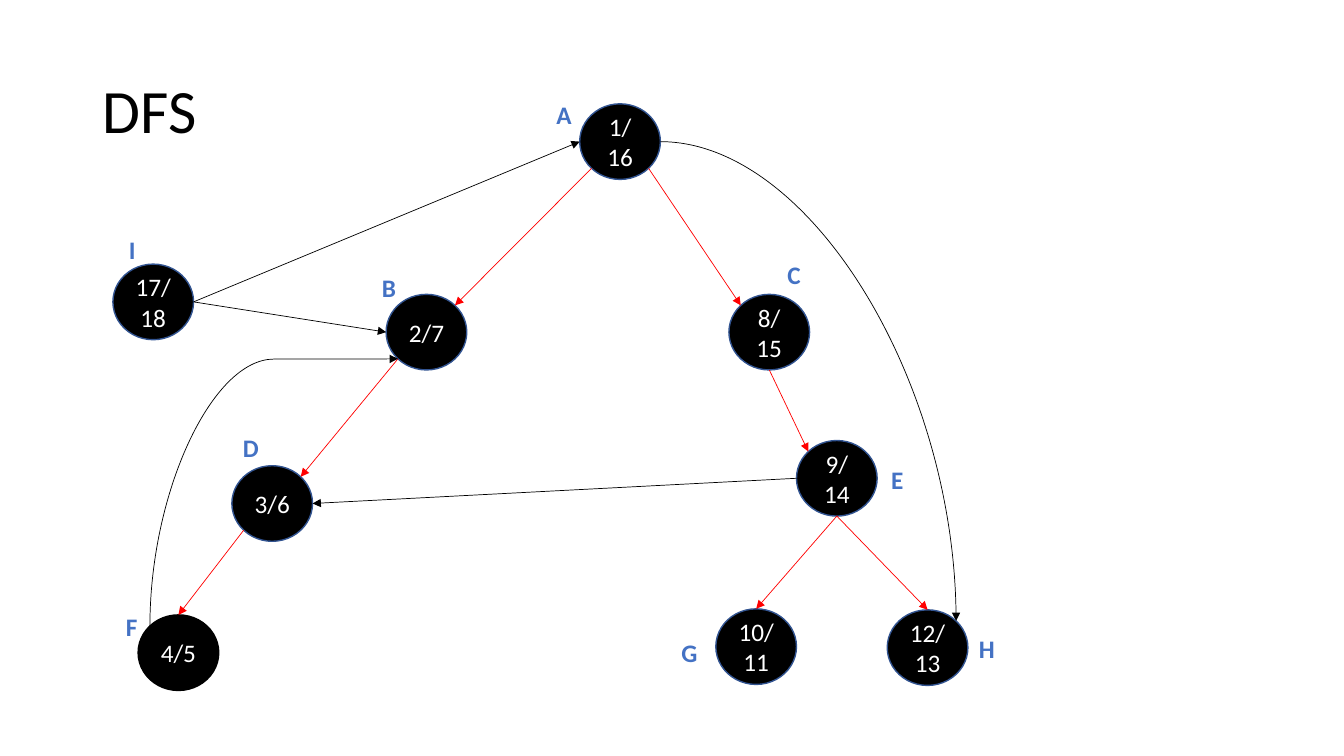
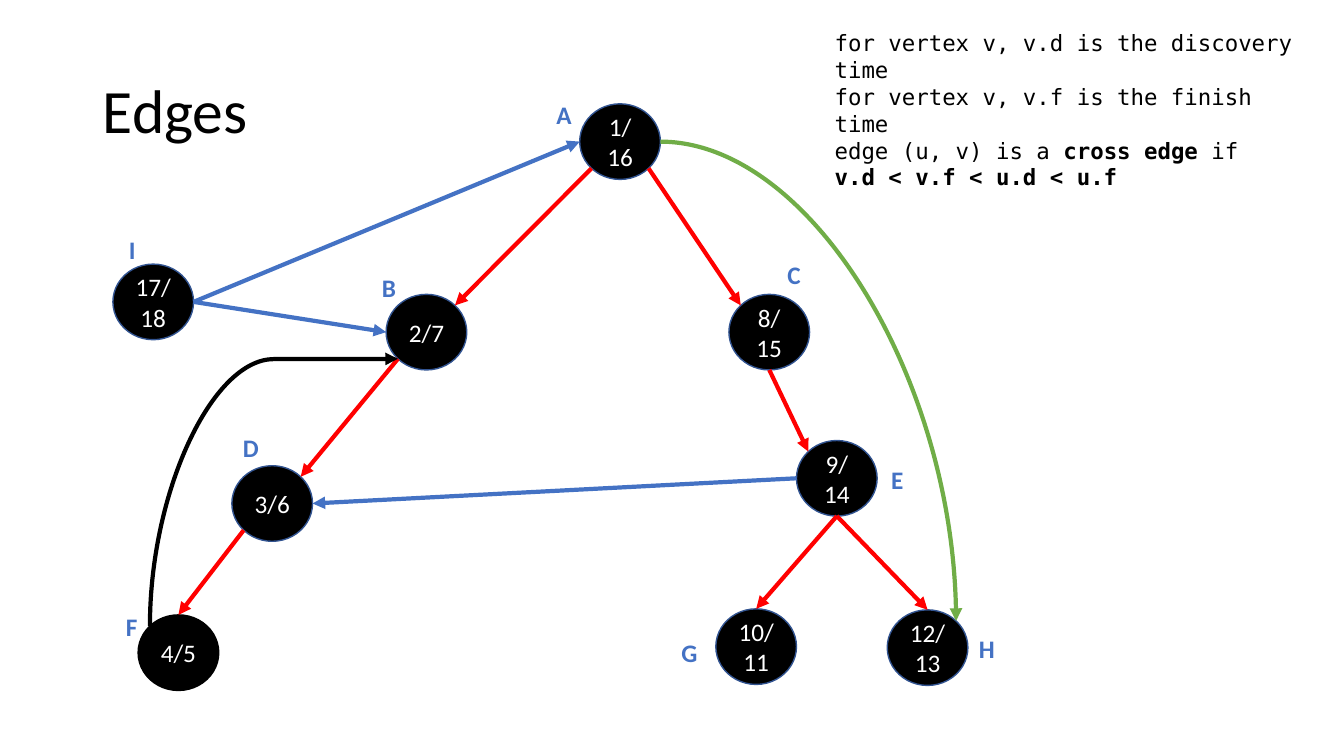
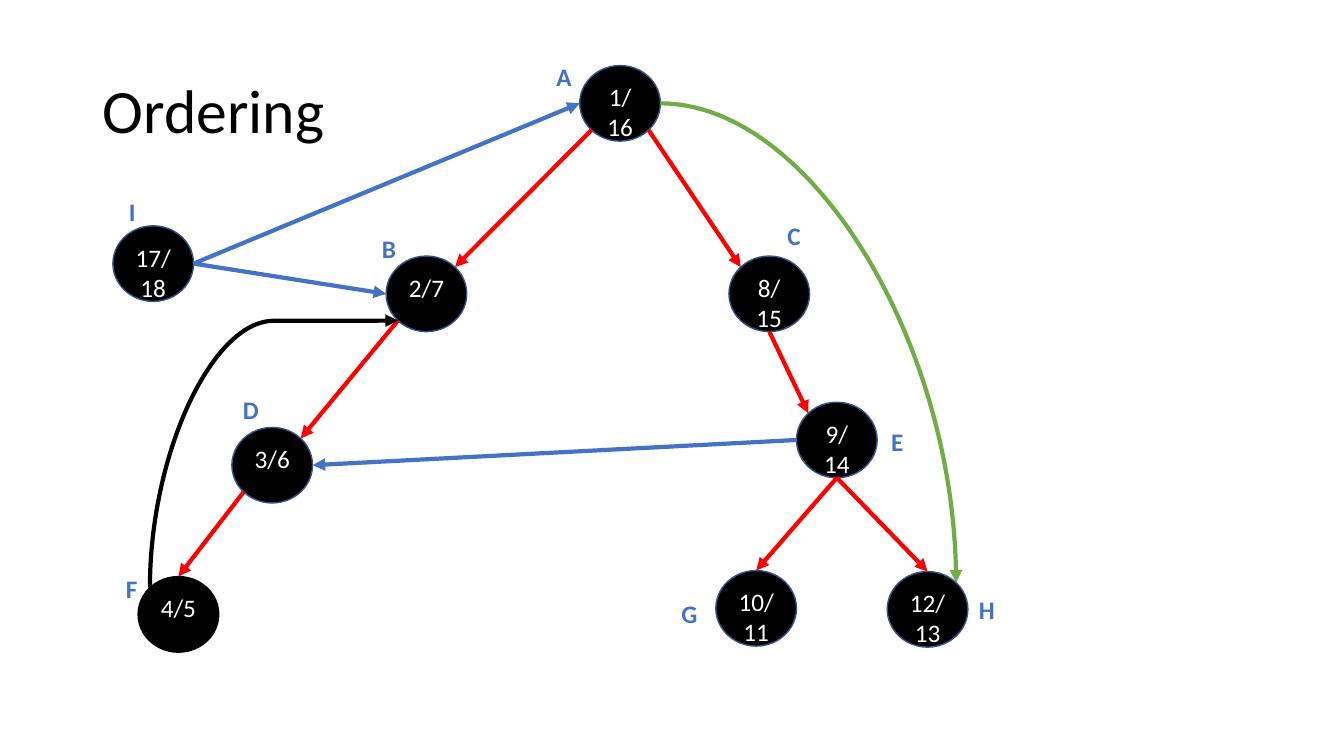
import lxml.etree
import pptx
import pptx.dml.color
import pptx.enum.shapes
import pptx.enum.text
import pptx.oxml.ns
import pptx.util

Inches = pptx.util.Inches
Points = pptx.util.Pt
qualified = pptx.oxml.ns.qn
RGBColor = pptx.dml.color.RGBColor

BLACK = RGBColor(0x00, 0x00, 0x00)
WHITE = RGBColor(0xFF, 0xFF, 0xFF)
RED = RGBColor(0xFF, 0x00, 0x00)
BLUE = RGBColor(0x44, 0x72, 0xC4)
GREEN = RGBColor(0x70, 0xAD, 0x47)
OUTLINE = RGBColor(0x32, 0x54, 0x91)

BODY_FONT = "Calibri"
CODE_FONT = "DejaVu Sans Mono"

SLIDE_WIDTH, SLIDE_HEIGHT = 13.33, 7.5
TITLE_BOX = (0.92, 0.4, 11.5, 1.45)
NOTE_BOX = (8.18, 0.24, 4.95, 1.45)
NODE_WIDTH, NODE_HEIGHT = 0.8, 0.75
LABEL_WIDTH, LABEL_HEIGHT = 0.78, 0.4
GRAPH_LEFT, GRAPH_TOP, RAISED_GRAPH_TOP = 1.12, 1.03, 0.65

NODES = {
    "A": ("1/\n16", (4.63, 0), (4.3, -0.09)),
    "B": ("2/7", (2.71, 1.89), (2.57, 1.62)),
    "C": ("8/\n15", (6.11, 1.89), (6.59, 1.49)),
    "D": ("3/6", (1.18, 3.59), (1.19, 3.21)),
    "E": ("9/\n14", (6.78, 3.34), (7.62, 3.53)),
    "F": ("4/5", (0.25, 5.07), (0.03, 4.99)),
    "G": ("10/11", (5.98, 5.01), (5.54, 5.24)),
    "H": ("12/13", (7.68, 5.02), (8.49, 5.2)),
    "I": ("17/\n18", (0, 1.59), (0.06, 1.25)),
}

DIAGONAL = 0.5 ** 0.5
SITE_NAMES = ("top", "top left", "left", "bottom left",
              "bottom", "bottom right", "right", "top right")
SITE_DIRECTIONS = (
    (0, -1), (-DIAGONAL, -DIAGONAL), (-1, 0), (-DIAGONAL, DIAGONAL),
    (0, 1), (DIAGONAL, DIAGONAL), (1, 0), (DIAGONAL, -DIAGONAL),
)

EDGES = (
    ("tree", "A", "bottom left", "B", "top right"),
    ("tree", "B", "bottom left", "D", "top right"),
    ("tree", "D", "bottom left", "F", "top"),
    ("tree", "E", "bottom", "G", "top"),
    ("tree", "E", "bottom", "H", "top"),
    ("tree", "A", "bottom right", "C", "top left"),
    ("tree", "C", "bottom", "E", "top left"),
    ("cross", "E", "left", "D", "right"),
    ("cross", "I", "right", "B", "left"),
    ("cross", "I", "right", "A", "left"),
    ("back", "F", "top left", "B", "bottom left"),
    ("forward", "A", "right", "H", "top right"),
)

PLAIN_COLORS = {"tree": RED, "cross": BLACK, "back": BLACK, "forward": BLACK}
CLASS_COLORS = {"tree": RED, "cross": BLUE, "back": BLACK, "forward": GREEN}

NOTE = (
    (("for vertex v, v.d is the discovery time", False),),
    (("for vertex v, v.f is the finish time", False),),
    (("edge (u, v) is a ", False), ("cross edge ", True), ("if", False)),
    (("v.d < v.f < u.d < u.f", True),),
)


def set_font(paragraph, size, color, name=BODY_FONT, bold=False):
    """Format all the text of a paragraph."""
    font = paragraph.font
    font.name, font.size, font.bold = name, Points(size), bold
    font.color.rgb = color


def add_titled_slide(presentation, title):
    """Add a title-only slide and place its title."""
    slide = presentation.slides.add_slide(presentation.slide_layouts[5])
    shape = slide.shapes.title
    shape.left, shape.top, shape.width, shape.height = map(Inches, TITLE_BOX)
    frame = shape.text_frame
    frame.text = title
    frame.auto_size = pptx.enum.text.MSO_AUTO_SIZE.NONE
    frame.vertical_anchor = pptx.enum.text.MSO_ANCHOR.MIDDLE
    paragraph = frame.paragraphs[0]
    paragraph.alignment = pptx.enum.text.PP_ALIGN.LEFT
    paragraph.line_spacing = 0.9
    set_font(paragraph, 44, BLACK)
    return slide


def add_text_box(slide, left, top, width, height):
    """Add a wrapping text box that grows with its text, and return its frame."""
    box = slide.shapes.add_textbox(*map(Inches, (left, top, width, height)))
    frame = box.text_frame
    frame.word_wrap = True
    frame.auto_size = pptx.enum.text.MSO_AUTO_SIZE.SHAPE_TO_FIT_TEXT
    return frame


def add_node(slide, left, top, times, outline, anchor):
    """Add one vertex with its discovery and finish times."""
    node = slide.shapes.add_shape(
        pptx.enum.shapes.MSO_SHAPE.OVAL,
        *map(Inches, (left, top, NODE_WIDTH, NODE_HEIGHT)))
    node.shadow.inherit = False
    node.fill.solid()
    node.fill.fore_color.rgb = BLACK
    node.line.color.rgb = outline
    node.line.width = Points(1)
    frame = node.text_frame
    frame.text = times
    frame.word_wrap = True
    frame.vertical_anchor = anchor
    for paragraph in frame.paragraphs:
        paragraph.alignment = pptx.enum.text.PP_ALIGN.CENTER
        set_font(paragraph, 18, WHITE)
    return node


def add_label(slide, left, top, name):
    """Add the letter of a vertex."""
    frame = add_text_box(slide, left, top, LABEL_WIDTH, LABEL_HEIGHT)
    frame.text = name
    set_font(frame.paragraphs[0], 18, BLUE, bold=True)


def site_point(node, site):
    """Return the point of a connection site on a vertex."""
    across, down = SITE_DIRECTIONS[SITE_NAMES.index(site)]
    return (node.left + node.width * (1 + across) / 2,
            node.top + node.height * (1 + down) / 2)


def quarter_turn(start, end):
    """Return the ends which a clockwise quarter turn brings to start and end."""
    middle_x, middle_y = (start[0] + end[0]) / 2, (start[1] + end[1]) / 2
    half_x, half_y = (end[0] - start[0]) / 2, (end[1] - start[1]) / 2
    return ((middle_x - half_y, middle_y + half_x),
            (middle_x + half_y, middle_y - half_x))


def add_edge(slide, kind, source, source_site, target, target_site, color, width):
    """Add an arrow joined to two vertices, curved for back and forward edges."""
    start, end = site_point(source, source_site), site_point(target, target_site)
    if kind == "back":
        start, end = quarter_turn(start, end)
    connector_type = pptx.enum.shapes.MSO_CONNECTOR
    curved = kind in ("back", "forward")
    connector = slide.shapes.add_connector(
        connector_type.CURVE if curved else connector_type.STRAIGHT,
        *(round(length) for length in start + end))
    connector.line.color.rgb = color
    connector.line.width = Points(width)
    lxml.etree.SubElement(connector.get_or_add_ln(), qualified("a:tailEnd"), type="triangle")
    properties = connector.element.spPr
    lxml.etree.SubElement(properties, qualified("a:effectLst"))
    geometry = properties.find(qualified("a:prstGeom"))
    if kind == "forward":
        geometry.set("prst", "curvedConnector2")
    if kind == "back":
        properties.find(qualified("a:xfrm")).set("rot", "5400000")
        adjustments = geometry.find(qualified("a:avLst"))
        lxml.etree.SubElement(adjustments, qualified("a:gd"), name="adj1", fmla="val 99900")
    joints = connector.element.find(".//" + qualified("p:cNvCxnSpPr"))
    for tag, node, site in (("a:stCxn", source, source_site),
                            ("a:endCxn", target, target_site)):
        lxml.etree.SubElement(joints, qualified(tag), id=str(node.shape_id),
                              idx=str(SITE_NAMES.index(site)))


def add_graph(slide, left, top, colors, width, anchor=pptx.enum.text.MSO_ANCHOR.MIDDLE):
    """Draw the searched graph from the given corner."""
    nodes = {}
    for name, (times, place, label_place) in NODES.items():
        outline = BLACK if name == "F" else OUTLINE
        nodes[name] = add_node(slide, left + place[0], top + place[1], times, outline, anchor)
        add_label(slide, left + label_place[0], top + label_place[1], name)
    for kind, source, source_site, target, target_site in EDGES:
        add_edge(slide, kind, nodes[source], source_site,
                 nodes[target], target_site, colors[kind], width)


def add_note(slide, box):
    """Add the definition of a cross edge."""
    frame = add_text_box(slide, *box)
    for index, pieces in enumerate(NOTE):
        paragraph = frame.add_paragraph() if index else frame.paragraphs[0]
        set_font(paragraph, 16, BLACK, CODE_FONT)
        for text, bold in pieces:
            run = paragraph.add_run()
            run.text = text
            run.font.bold = bold


def main():
    """Build the presentation."""
    presentation = pptx.Presentation()
    presentation.slide_width = Inches(SLIDE_WIDTH)
    presentation.slide_height = Inches(SLIDE_HEIGHT)

    search = add_titled_slide(presentation, "DFS")
    add_graph(search, GRAPH_LEFT, GRAPH_TOP, PLAIN_COLORS, 0.5)

    edges = add_titled_slide(presentation, "Edges")
    add_graph(edges, GRAPH_LEFT, GRAPH_TOP, CLASS_COLORS, 3)
    add_note(edges, NOTE_BOX)

    ordering = add_titled_slide(presentation, "Ordering")
    add_graph(ordering, GRAPH_LEFT, RAISED_GRAPH_TOP, CLASS_COLORS, 3,
              pptx.enum.text.MSO_ANCHOR.TOP)

    presentation.save("out.pptx")


if __name__ == "__main__":
    main()
